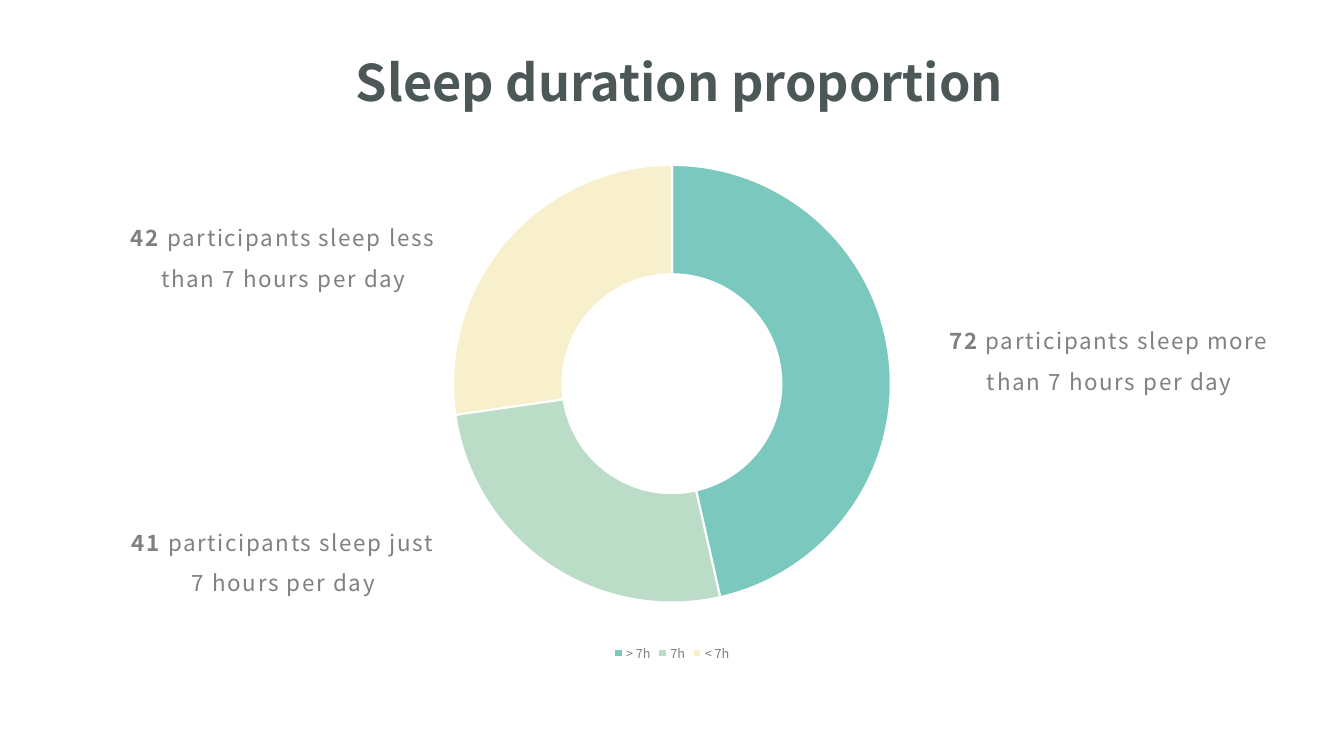
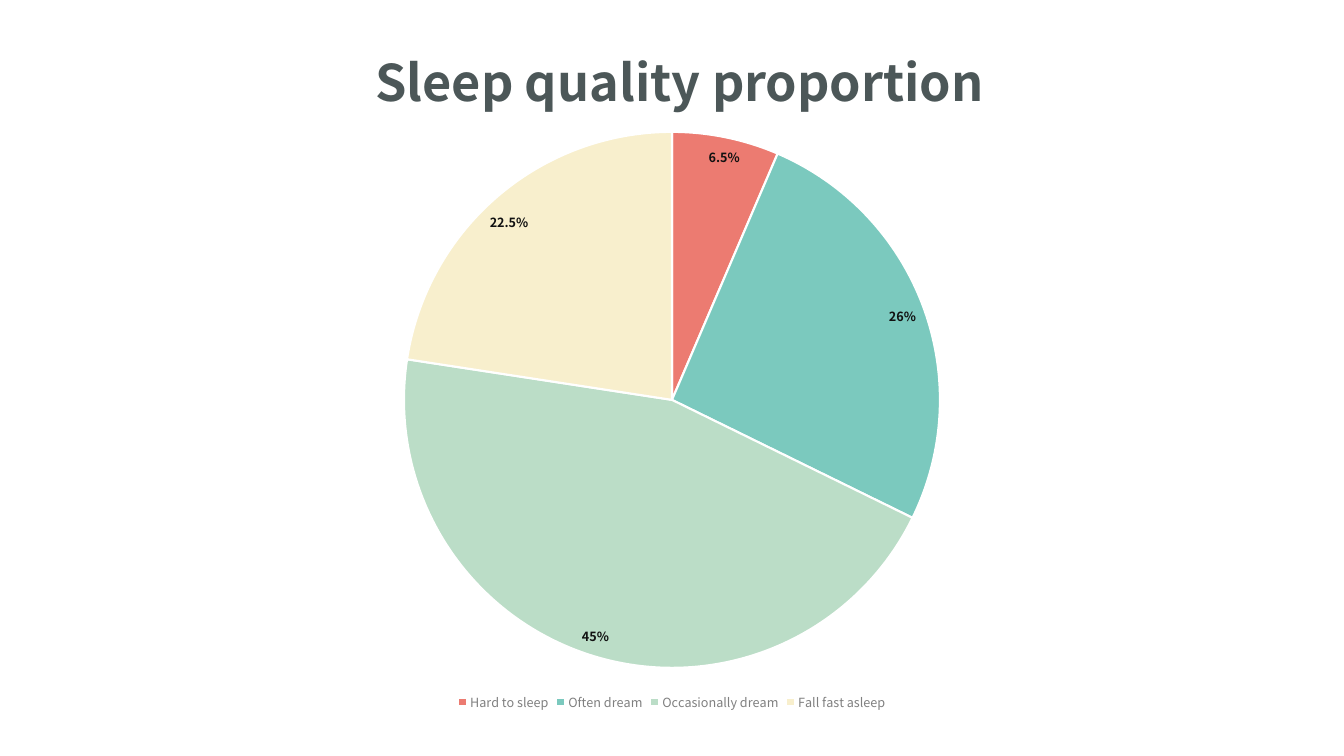
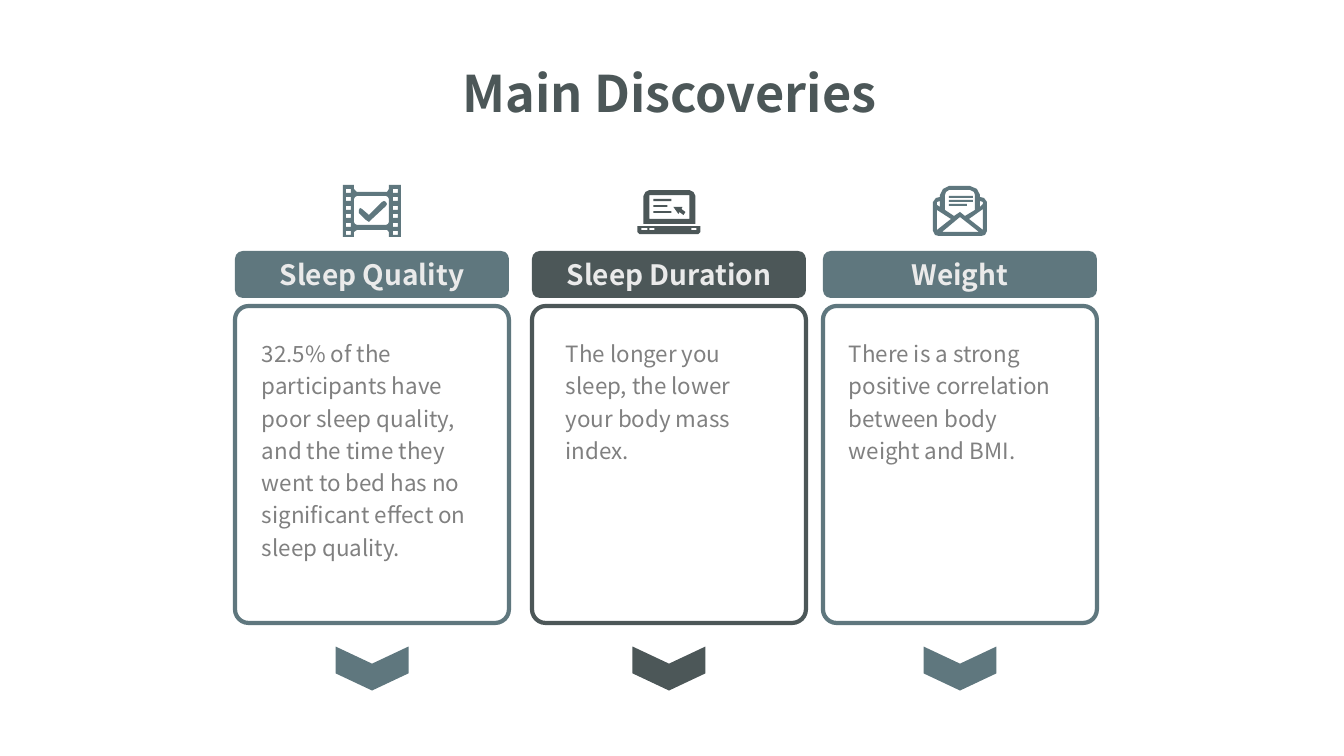
"""Build three slides on sleep duration, sleep quality and main discoveries."""
from dataclasses import dataclass

from pptx import Presentation
from pptx.chart.data import CategoryChartData
from pptx.dml.color import RGBColor
from pptx.enum.chart import XL_CHART_TYPE, XL_LABEL_POSITION, XL_LEGEND_POSITION
from pptx.enum.shapes import MSO_SHAPE
from pptx.enum.text import MSO_ANCHOR, MSO_AUTO_SIZE, PP_ALIGN
from pptx.oxml import parse_xml
from pptx.oxml.ns import nsdecls
from pptx.util import Pt

DOUGHNUT, PIE = XL_CHART_TYPE.DOUGHNUT, XL_CHART_TYPE.PIE
BEST_FIT = XL_LABEL_POSITION.BEST_FIT
BOTTOM = XL_LEGEND_POSITION.BOTTOM
ROUNDED, CHEVRON = MSO_SHAPE.ROUNDED_RECTANGLE, MSO_SHAPE.CHEVRON
TOP, MIDDLE = MSO_ANCHOR.TOP, MSO_ANCHOR.MIDDLE
LEFT, CENTER = PP_ALIGN.LEFT, PP_ALIGN.CENTER
NO_AUTOFIT = MSO_AUTO_SIZE.NONE
PX = 914400 / 100.8


@dataclass(frozen=True)
class Theme:
    font: str = "Noto Sans CJK SC"
    dark: str = "4C5758"
    slate: str = "5F777E"
    body: str = "808080"
    pale: str = "EAEAEA"
    white: str = "FFFFFF"
    label: str = "111111"
    slices: tuple = ("EC7B71", "7BC9BE", "BBDDC7", "F8EFCD")
    title_size: int = 36
    heading_size: int = 20
    body_size: int = 16
    chart_size: int = 10
    legend_size: int = 9


THEME = Theme()
CHART_TITLE_BOX = (306, 46, 747, 72)
DISCOVERY_TITLE_BOX = (400, 57, 539, 72)

DURATION = {
    "title": "Sleep duration proportion",
    "box": (256, 90, 832, 576),
    "values": [("", None), ("> 7h", 46), ("7h", 26), ("< 7h", 27)],
    "plot": (0.19, 0.13, 0.62, 0.76),
    "legend": (0.37, 0.92, 0.27, 0.05),
}
DURATION_NOTES = [
    ("42 ", "participants sleep less than 7 hours per day", (113, 206, 341, 114)),
    ("41 ", "participants sleep just 7 hours per day", (113, 511, 341, 137)),
    ("72 ", "participants sleep more than 7 hours per day", (936, 309, 347, 114)),
]
QUALITY = {
    "title": "Sleep quality proportion",
    "box": (252, 118, 840, 597),
    "values": [("Hard to sleep", 10), ("Often dream", 40),
               ("Occasionally dream", 70), ("Fall fast asleep", 35)],
    "labels": ["6.5%", "26%", "45%", "22.5%"],
}


def rect(x, y, w, h):
    """Return the corners of a rectangle."""
    return [(x, y), (x + w, y), (x + w, y + h), (x, y + h)]


def bevel(x, y, w, h, top, bottom):
    """Return a rectangle with softened top and bottom corners."""
    right, low = x + w, y + h
    t, b = top // 3, bottom // 3
    return [(x + top, y), (right - top, y), (right - t, y + t), (right, y + top),
            (right, low - bottom), (right - b, low - b), (right - bottom, low),
            (x + bottom, low), (x + b, low - b), (x, low - bottom),
            (x, y + top), (x + t, y + t)]


FILM = [
    [(0, 0), (11, 0), (11, 4), (14, 7), (44, 7), (46, 4), (46, 0), (58, 0),
     (58, 52), (46, 52), (46, 47), (44, 45), (14, 45), (11, 47), (11, 52), (0, 52)],
    bevel(11, 11, 35, 29, 3, 3),
    [(41, 16), (39, 17), (26, 30), (19, 24), (17, 23), (16, 25), (16, 28),
     (23, 35), (26, 37), (28, 35), (43, 21), (44, 19), (43, 17)],
    *[rect(x, round(4 + 8.4 * row), 5, 4) for x in (3, 50) for row in range(6)],
]
LAPTOP = [
    bevel(6, 0, 52, 34, 6, 0),
    rect(12, 5, 40, 24),
    *[rect(16, y, w, 2) for y, w in ((9, 18), (15, 14), (21, 18))],
    [(36, 17), (41, 24), (42, 22), (46, 25), (48, 22), (44, 19), (45, 17)],
    [(0, 36), (63, 36), (63, 42), (61, 44), (2, 44), (0, 42)],
    *[rect(x, 38, w, 2) for x, w in ((4, 6), (12, 5), (54, 5))],
]
ENVELOPE = [
    [(7, 11), (7, 9), (10, 3), (16, 0), (37, 0), (44, 3), (47, 9), (47, 11),
     (51, 12), (54, 16), (54, 45), (52, 49), (48, 50), (6, 50), (2, 49),
     (0, 45), (0, 16), (3, 12)],
    [(9, 46), (27, 31), (46, 46)],
    [(4, 44), (4, 24), (18, 33)],
    [(50, 44), (36, 33), (50, 23)],
    [(7, 21), (4, 19), (4, 16), (7, 15)],
    [(47, 21), (47, 15), (50, 16), (50, 18)],
    [(21, 30), (12, 24), (12, 9), (13, 6), (16, 4), (37, 4), (41, 6),
     (42, 9), (42, 24), (32, 30), (27, 26)],
    *[rect(16, y, w, 2) for y, w in ((10, 24), (14, 24), (18, 18))],
]

CARD_WIDTH = 274
DISCOVERIES = [
    {"heading": "Sleep Quality", "left": 235, "color": THEME.slate,
     "icon": FILM, "icon_top": 185, "text_left": 252, "text_width": 241,
     "text": "32.5% of the participants have poor sleep quality, and the time "
             "they went to bed has no significant effect on sleep quality."},
    {"heading": "Sleep Duration", "left": 532, "color": THEME.dark,
     "icon": LAPTOP, "icon_top": 190, "text_left": 556, "text_width": 234,
     "text": "The longer you sleep, the lower your body mass index."},
    {"heading": "Weight", "left": 823, "color": THEME.slate,
     "icon": ENVELOPE, "icon_top": 186, "text_left": 839, "text_width": 234,
     "text": "There is a strong positive correlation between body weight and BMI."},
]


def emu(*lengths):
    """Turn px lengths into EMU."""
    return [round(length * PX) for length in lengths]


def style_font(font, size, color, bold=False):
    """Apply the deck font with a size and colour."""
    font.name, font.size, font.bold = THEME.font, Pt(size), bold
    font.color.rgb = RGBColor.from_string(color)


def write(frame, *pieces, size=THEME.body_size, color=THEME.body, bold=False,
          align=LEFT, anchor=TOP, line_spacing=1, tracking=0):
    """Write one paragraph; a piece is text or a (text, bold) pair."""
    frame.word_wrap, frame.auto_size = True, NO_AUTOFIT
    frame.vertical_anchor = anchor
    paragraph = frame.paragraphs[0]
    paragraph.alignment, paragraph.line_spacing = align, line_spacing
    for piece in pieces:
        words, weight = (piece, bold) if isinstance(piece, str) else piece
        run = paragraph.add_run()
        run.text = words
        style_font(run.font, size, color, weight)
        if tracking:
            run.font._element.set("spc", str(tracking))


def add_titled_slide(deck, title, box):
    """Add a slide with the shared title style."""
    slide = deck.slides.add_slide(deck.slide_layouts[5])
    heading = slide.shapes.title
    heading.left, heading.top, heading.width, heading.height = emu(*box)
    write(heading.text_frame, title, size=THEME.title_size, color=THEME.dark,
          bold=True, align=CENTER)
    return slide


def add_note(slide, box, *pieces, **style):
    """Add a text box."""
    write(slide.shapes.add_textbox(*emu(*box)).text_frame, *pieces, **style)


def paint(shape, fill=None, line=None):
    """Set fill and outline, and drop the shadow."""
    shape.shadow.inherit = False
    if fill:
        shape.fill.solid()
        shape.fill.fore_color.rgb = RGBColor.from_string(fill)
    else:
        shape.fill.background()
    if line:
        shape.line.color.rgb = RGBColor.from_string(line)
        shape.line.width = Pt(3)
    else:
        shape.line.fill.background()
    return shape


def add_share_chart(slide, kind, content):
    """Add a pie or doughnut chart with the shared slice colours and legend."""
    data = CategoryChartData()
    data.categories = [name for name, _ in content["values"]]
    data.add_series("Series 1", [value for _, value in content["values"]])
    chart = slide.shapes.add_chart(kind, *emu(*content["box"]), data).chart
    chart.has_title = False
    style_font(chart.font, THEME.chart_size, THEME.body)
    chart.has_legend = True
    chart.legend.position = BOTTOM
    chart.legend.include_in_layout = False
    style_font(chart.legend.font, THEME.legend_size, THEME.body)
    chart.plots[0].vary_by_categories = True
    for index, color in enumerate(THEME.slices):
        share = chart.plots[0].series[0].points[index].format
        share.fill.solid()
        share.fill.fore_color.rgb = RGBColor.from_string(color)
        share.line.color.rgb = RGBColor.from_string(THEME.white)
        share.line.width = Pt(1.5)
    return chart


def manual_layout(fractions, target=""):
    """Return a chart layout element for fractions of the chart area."""
    sides = "".join(f'<c:{side} val="{part}"/>' for side, part in zip("xywh", fractions))
    return parse_xml(f'<c:layout {nsdecls("c")}><c:manualLayout>{target}'
                     '<c:xMode val="edge"/><c:yMode val="edge"/>'
                     f'{sides}</c:manualLayout></c:layout>')


def build_duration(deck):
    """Build the doughnut slide."""
    slide = add_titled_slide(deck, DURATION["title"], CHART_TITLE_BOX)
    chart = add_share_chart(slide, DOUGHNUT, DURATION)
    root = chart.element
    root.xpath(".//c:holeSize")[0].set("val", "75")
    plot_area = root.xpath("c:chart/c:plotArea")[0]
    for automatic in plot_area.xpath("c:layout"):
        plot_area.remove(automatic)
    plot_area.insert(0, manual_layout(DURATION["plot"], '<c:layoutTarget val="inner"/>'))
    position = root.xpath("c:chart/c:legend/c:legendPos")[0]
    position.addnext(manual_layout(DURATION["legend"]))
    position.addnext(parse_xml(f'<c:legendEntry {nsdecls("c")}><c:idx val="0"/>'
                               '<c:delete val="1"/></c:legendEntry>'))
    for count, words, box in DURATION_NOTES:
        add_note(slide, box, (count, True), words, align=CENTER,
                 line_spacing=1.5, tracking=120)


def build_quality(deck):
    """Build the pie slide."""
    slide = add_titled_slide(deck, QUALITY["title"], CHART_TITLE_BOX)
    series = add_share_chart(slide, PIE, QUALITY).plots[0].series[0]
    series.data_labels.show_value = True
    series.data_labels.position = BEST_FIT
    style_font(series.data_labels.font, THEME.legend_size, THEME.body)
    for index, percent in enumerate(QUALITY["labels"]):
        label = series.points[index].data_label
        run = label.text_frame.paragraphs[0].add_run()
        run.text = percent
        style_font(run.font, THEME.legend_size, THEME.label, bold=True)
        label.position = BEST_FIT


def add_icon(slide, outlines, center, top, color):
    """Draw closed outlines as one freeform centred on a column."""
    width = max(x for outline in outlines for x, _ in outline)
    pen = slide.shapes.build_freeform(*outlines[0][0], scale=PX)
    for outline in outlines:
        if outline is not outlines[0]:
            pen.move_to(*outline[0])
        pen.add_line_segments(outline[1:], close=True)
    paint(pen.convert_to_shape(*emu(center - width / 2, top)), fill=color)


def build_discoveries(deck):
    """Build the slide with three cards."""
    slide = add_titled_slide(deck, "Main Discoveries", DISCOVERY_TITLE_BOX)
    for card in DISCOVERIES:
        left, color = card["left"], card["color"]
        center = left + CARD_WIDTH / 2
        add_icon(slide, card["icon"], center, card["icon_top"], color)
        band = slide.shapes.add_shape(ROUNDED, *emu(left, 251, CARD_WIDTH, 47))
        write(paint(band, fill=color).text_frame, card["heading"], bold=True,
              size=THEME.heading_size, color=THEME.pale, align=CENTER, anchor=MIDDLE)
        frame = slide.shapes.add_shape(ROUNDED, *emu(left, 306, CARD_WIDTH, 317))
        frame.adjustments[0] = 0.05
        paint(frame, line=color)
        add_note(slide, (card["text_left"], 330, card["text_width"], 238),
                 card["text"], line_spacing=1.2)
        arrow = slide.shapes.add_shape(CHEVRON, *emu(center - 22, 632, 44, 73))
        arrow.adjustments[0] = 0.39
        arrow.rotation = 90
        paint(arrow, fill=color)


def main():
    """Build and save the deck."""
    deck = Presentation()
    deck.slide_width, deck.slide_height = emu(1344, 756)
    build_duration(deck)
    build_quality(deck)
    build_discoveries(deck)
    deck.save("out.pptx")


if __name__ == "__main__":
    main()
